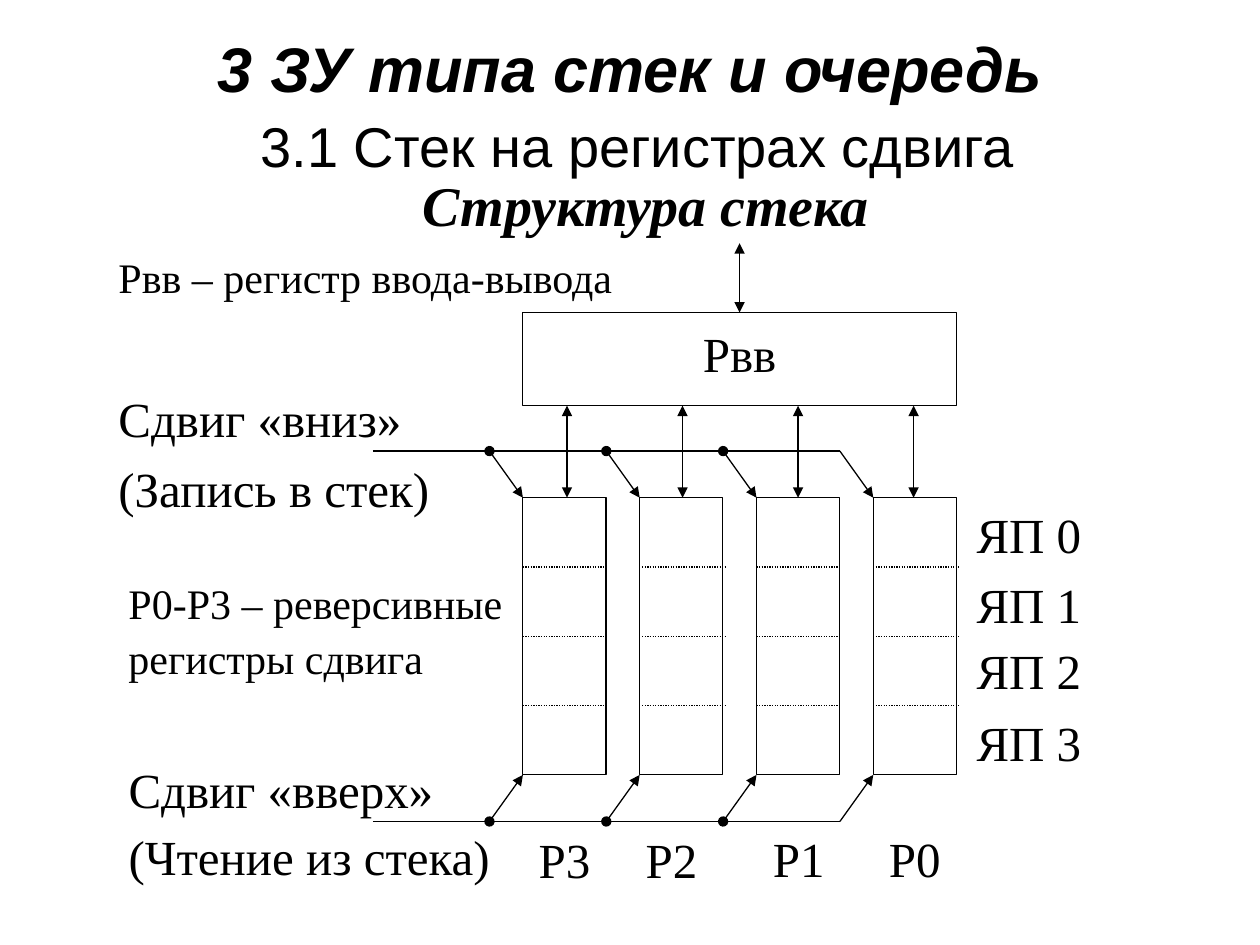
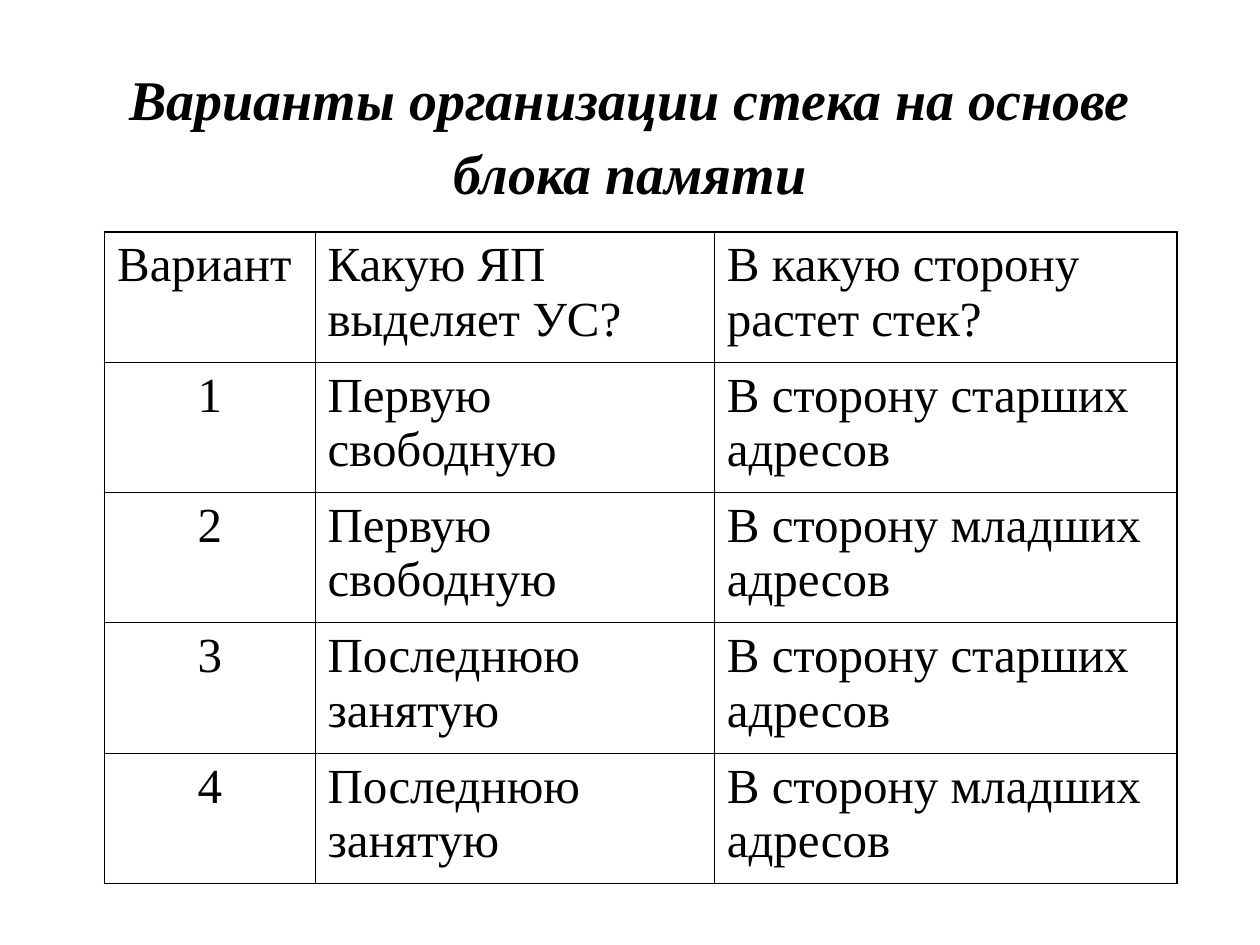
from pptx import Presentation
from pptx import util as u
from pptx.dml.color import RGBColor
from pptx.enum import dml, shapes, text
from pptx.oxml import ns, xmlchemy

BLACK, WHITE = "000000", "FFFFFF"
SANS, SERIF = "Arial", "Times New Roman"
LEFT, CENTER = text.PP_ALIGN.LEFT, text.PP_ALIGN.CENTER
TOP, MIDDLE = text.MSO_ANCHOR.TOP, text.MSO_ANCHOR.MIDDLE
WIDE_INSETS, SHAPE_INSETS, LABEL_INSETS = (0.1, 0.05), (0.09, 0.04), (0.02, 0.01)
LINE_SPACING = 1.1
HAIRLINE, OUTER_BORDER, INNER_BORDER = 0.75, 1.08, 0.45

HEADING = ("3 ЗУ типа стек и очередь", "3.1 Стек на регистрах сдвига")
SUBHEADING = "Структура стека"
IO_REGISTER = "Рвв"
REGISTERS = ["Р3", "Р2", "Р1", "Р0"]
REGISTER_LABELS = [(4.15, 6.53), (5, 6.53), (6.01, 6.52), (6.93, 6.52)]
MEMORY_CELLS = [("ЯП 0", 3.95), ("ЯП 1", 4.5), ("ЯП 2", 5.03), ("ЯП 3", 5.6)]
CAPTIONS = [
    ("Рвв – регистр ввода-вывода", 24, (0.92, 1.95, 4.75, 0.63)),
    ("Сдвиг «вниз»", 28, (0.92, 3.03, 2.51, 0.55)),
    ("(Запись в стек)", 28, (0.92, 3.58, 2.55, 0.55)),
    ("Р0-Р3 – реверсивные регистры сдвига", 24, (1, 4.53, 3.67, 0.55)),
    ("Сдвиг «вверх»", 28, (1, 5.97, 2.59, 0.55)),
    ("(Чтение из стека)", 28, (1, 6.5, 3.02, 0.55)),
]

VARIANTS_TITLE = "Варианты организации стека на основе блока памяти"
VARIANTS = [
    ("Вариант", "Какую ЯП выделяет УС?", "В какую сторону растет стек?"),
    ("1", "Первую свободную", "В сторону старших адресов"),
    ("2", "Первую свободную", "В сторону младших адресов"),
    ("3", "Последнюю занятую", "В сторону старших адресов"),
    ("4", "Последнюю занятую", "В сторону младших адресов"),
]
VARIANT_WIDTHS = (1.67, 3.17, 3.67)

BANK_LEFT, BANK_TOP, BANK_BOTTOM = 4.15, 3.95, 6.15
REGISTER_WIDTH, REGISTER_PITCH = 0.66, 0.927
CELL_HEIGHT = (BANK_BOTTOM - BANK_TOP) / len(MEMORY_CELLS)
IO_TOP, IO_WIDTH, IO_HEIGHT = 2.48, 3.44, 0.74
DATA_LEFT, DATA_PITCH = 4.5, 0.917
BUS_LEFT, BUS_GAP, BRANCH = 2.96, 0.37, 0.265


def color(value):
    return RGBColor.from_string(value)


def inches(values):
    return [u.Inches(value) for value in values]


def add_run(paragraph, words, size, font=SERIF, strong=False):
    run = paragraph.add_run()
    run.text = words
    run.font.size = u.Pt(size)
    run.font.name = font
    run.font.bold = run.font.italic = strong
    run.font.color.rgb = color(BLACK)


def prepare_frame(frame, insets, align=LEFT, anchor=TOP):
    frame.word_wrap = True
    frame.vertical_anchor = anchor
    frame.margin_left = frame.margin_right = u.Inches(insets[0])
    frame.margin_top = frame.margin_bottom = u.Inches(insets[1])
    paragraph = frame.paragraphs[0]
    paragraph.alignment = align
    paragraph.line_spacing = LINE_SPACING
    return paragraph


def add_text(slide, place, insets=LABEL_INSETS, align=LEFT, anchor=TOP):
    frame = slide.shapes.add_textbox(*inches(place)).text_frame
    return prepare_frame(frame, insets, align, anchor)


def add_title(slide, top):
    return add_text(slide, (0.75, top, 8.5, 1.25), WIDE_INSETS, CENTER, MIDDLE)


def add_box(slide, place):
    box = slide.shapes.add_shape(shapes.MSO_SHAPE.RECTANGLE, *inches(place))
    box.shadow.inherit = False
    box.fill.solid()
    box.fill.fore_color.rgb = color(WHITE)
    box.line.color.rgb = color(BLACK)
    box.line.width = u.Pt(HAIRLINE)
    return box


def add_line(slide, start, end, head=None, tail=None, dotted=False):
    line = slide.shapes.add_connector(
        shapes.MSO_CONNECTOR.STRAIGHT, *inches((*start, *end)))
    line.line.color.rgb = color(BLACK)
    line.line.width = u.Pt(HAIRLINE)
    if dotted:
        line.line.dash_style = dml.MSO_LINE.ROUND_DOT
    properties = line.element.spPr
    stroke = properties.find(ns.qn("a:ln"))
    for tag, kind in (("a:headEnd", head), ("a:tailEnd", tail)):
        if kind:
            tip = xmlchemy.OxmlElement(tag)
            tip.set("type", kind)
            stroke.append(tip)
    properties.append(xmlchemy.OxmlElement("a:effectLst"))


def add_data_arrow(slide, x, top, bottom):
    add_line(slide, (x, top), (x, bottom), "triangle", "triangle")


def add_shift_bus(slide, bus_y, bank_y, lefts):
    add_line(slide, (BUS_LEFT, bus_y), (lefts[-1] - BRANCH, bus_y))
    for left in lefts:
        joint = None if left == lefts[-1] else "oval"
        add_line(slide, (left - BRANCH, bus_y), (left, bank_y), joint, "triangle")


def build_structure(slide):
    title = add_title(slide, 0.17)
    add_run(title, HEADING[0], 36, SANS, True)
    title.add_line_break()
    add_run(title, " ", 32, SANS, True)
    add_run(title, HEADING[1], 32, SANS)
    subheading = add_text(slide, (0.5, 1.25, 9.25, 0.83), WIDE_INSETS, CENTER)
    add_run(subheading, SUBHEADING, 32, strong=True)

    io_box = add_box(slide, (BANK_LEFT, IO_TOP, IO_WIDTH, IO_HEIGHT))
    add_run(prepare_frame(io_box.text_frame, SHAPE_INSETS, CENTER), IO_REGISTER, 28)
    add_data_arrow(slide, BANK_LEFT + IO_WIDTH / 2, 1.93, IO_TOP)

    lefts = [BANK_LEFT + i * REGISTER_PITCH for i in range(len(REGISTERS))]
    for i, left in enumerate(lefts):
        add_box(slide, (left, BANK_TOP, REGISTER_WIDTH, BANK_BOTTOM - BANK_TOP))
        add_data_arrow(slide, DATA_LEFT + i * DATA_PITCH, IO_TOP + IO_HEIGHT, BANK_TOP)
        divider = left + 0.02 * (i % 2)
        for row in range(1, len(MEMORY_CELLS)):
            y = BANK_TOP + row * CELL_HEIGHT
            add_line(slide, (divider, y), (divider + REGISTER_WIDTH, y), dotted=True)
    add_shift_bus(slide, BANK_TOP - BUS_GAP, BANK_TOP, lefts)
    add_shift_bus(slide, BANK_BOTTOM + BUS_GAP, BANK_BOTTOM, lefts)

    for name, (left, top) in zip(REGISTERS, REGISTER_LABELS):
        add_run(add_text(slide, (left, top, REGISTER_WIDTH, 0.55), align=CENTER), name, 28)
    for name, top in MEMORY_CELLS:
        add_run(add_text(slide, (7.73, top, 1.11, 0.55)), name, 28)
    for words, size, place in CAPTIONS:
        add_run(add_text(slide, place), words, size)


def set_borders(cell, widths):
    properties = cell._tc.get_or_add_tcPr()
    for position, (tag, width) in enumerate(widths.items()):
        border = xmlchemy.OxmlElement(tag)
        border.set("w", str(u.Pt(width)))
        fill = xmlchemy.OxmlElement("a:solidFill")
        shade = xmlchemy.OxmlElement("a:srgbClr")
        shade.set("val", BLACK)
        fill.append(shade)
        border.append(fill)
        properties.insert(position, border)


def build_variants(slide):
    add_run(add_title(slide, 0.42), VARIANTS_TITLE, 32, strong=True)
    last_row, last_column = len(VARIANTS) - 1, len(VARIANT_WIDTHS) - 1
    variants = slide.shapes.add_table(
        len(VARIANTS), len(VARIANT_WIDTHS), *inches((0.83, 1.84, 8.5, 5.17))).table
    variants.first_row = variants.horz_banding = False
    for column, width in zip(variants.columns, VARIANT_WIDTHS):
        column.width = u.Inches(width)
    for r, row in enumerate(VARIANTS):
        for c, words in enumerate(row):
            cell = variants.cell(r, c)
            cell.fill.background()
            edges = {"a:lnL": c == 0, "a:lnR": c == last_column,
                     "a:lnT": r == 0, "a:lnB": r == last_row}
            set_borders(cell, {tag: OUTER_BORDER if outer else INNER_BORDER
                               for tag, outer in edges.items()})
            paragraph = cell.text_frame.paragraphs[0]
            paragraph.alignment = CENTER if r and c == 0 else LEFT
            paragraph.space_before = u.Pt(7)
            add_run(paragraph, words, 28)


def main():
    deck = Presentation()
    deck.slide_width, deck.slide_height = inches((10, 7.5))
    for build in (build_structure, build_variants):
        build(deck.slides.add_slide(deck.slide_layouts[6]))
    deck.save("out.pptx")


if __name__ == "__main__":
    main()
